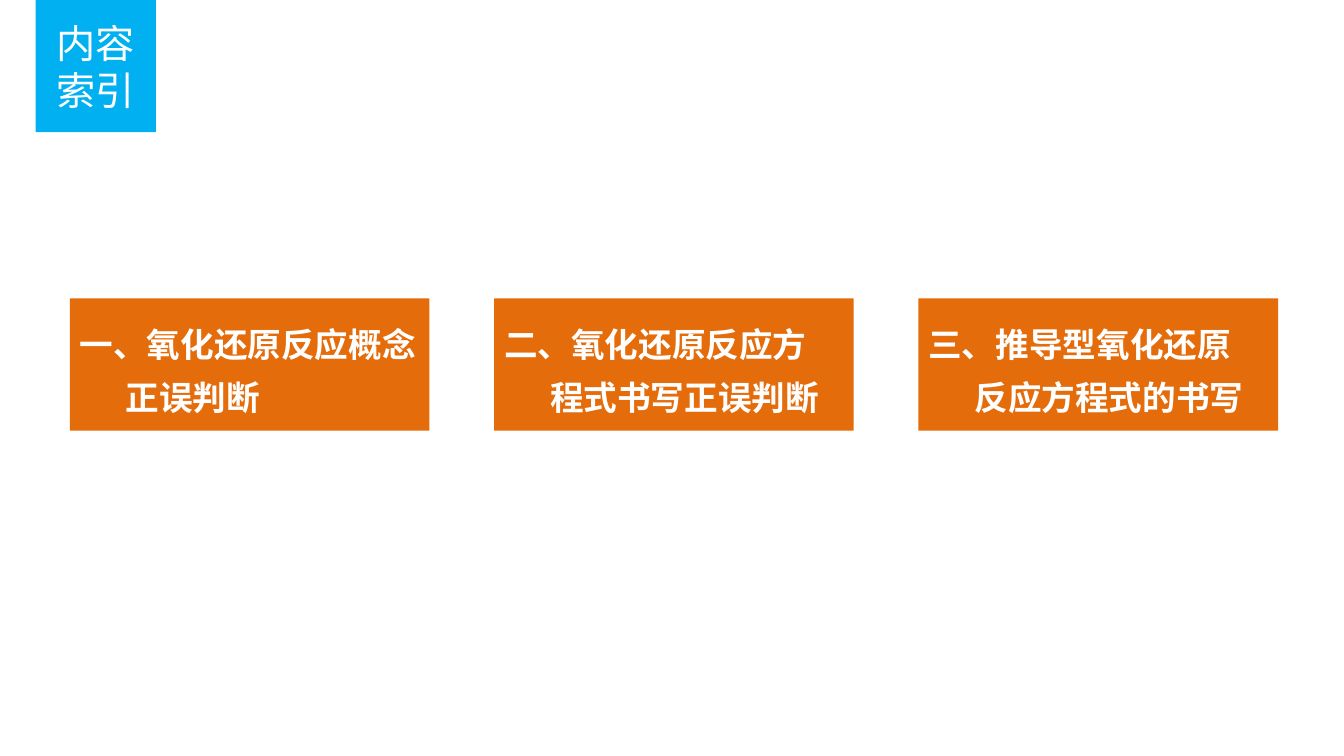
from lxml import etree
from pptx import Presentation
from pptx.dml.color import RGBColor
from pptx.enum.shapes import MSO_SHAPE
from pptx.enum.text import MSO_ANCHOR, MSO_AUTO_SIZE, PP_ALIGN
from pptx.oxml.ns import qn
from pptx.util import Cm, Pt

RECT = MSO_SHAPE.RECTANGLE
TOP, MIDDLE = MSO_ANCHOR.TOP, MSO_ANCHOR.MIDDLE
LEFT, CENTER = PP_ALIGN.LEFT, PP_ALIGN.CENTER
NO_AUTOFIT = MSO_AUTO_SIZE.NONE

FONT = "Noto Sans CJK SC"
COLORS = {"tab": "00B0F0", "topic": "E46C0A", "text": "FFFFFF"}
TOPICS = [
    ("一、氧化还原反应概念", "正误判断"),
    ("二、氧化还原反应方", "程式书写正误判断"),
    ("三、推导型氧化还原", "反应方程式的书写"),
]


def add_rect(s, x, y, w, h, color):
    sp = s.shapes.add_shape(RECT, Cm(x), Cm(y), Cm(w), Cm(h))
    sp.shadow.inherit = False
    sp.fill.solid()
    sp.fill.fore_color.rgb = RGBColor.from_string(COLORS[color])
    sp.line.fill.background()
    return sp


def write(p, text, size, bold=False, align=LEFT, spacing=1.0, indent=0):
    p.alignment = align
    p.line_spacing = spacing
    if indent:
        p._p.get_or_add_pPr().set("marL", str(Cm(indent)))
    r = p.add_run()
    r.text = text
    r.font.size = Pt(size)
    r.font.bold = bold
    r.font.name = FONT
    r.font.color.rgb = RGBColor.from_string(COLORS["text"])
    etree.SubElement(r.font._element, qn("a:ea")).set("typeface", FONT)


def add_title_tab(s, x, y, w, h):
    """Place the slide title on a coloured tab."""
    tab = add_rect(s, x, y, w, h, "tab")
    title = s.shapes.title
    title.element.addprevious(tab.element)
    title.left, title.top = Cm(x + 0.2), Cm(y + 0.36)
    title.width, title.height = Cm(w - 0.42), Cm(h - 0.69)
    tf = title.text_frame
    tf.word_wrap = True
    tf.auto_size = NO_AUTOFIT
    tf.vertical_anchor = TOP
    write(tf.paragraphs[0], "内容索引", 28, align=CENTER)


def add_topic(s, x, y, w, h, lines):
    tf = add_rect(s, x, y, w, h, "topic").text_frame
    tf.word_wrap = True
    tf.vertical_anchor = MIDDLE
    first, second = lines
    write(tf.paragraphs[0], first, 24, bold=True, spacing=1.3)
    write(tf.add_paragraph(), second, 24, bold=True, spacing=1.3, indent=1.16)


def add_topic_row(s, x, y, w, h, topics, gap):
    topic_w = (w - gap * (len(topics) - 1)) / len(topics)
    for i, lines in enumerate(topics):
        add_topic(s, x + i * (topic_w + gap), y, topic_w, h, lines)


def main():
    prs = Presentation()
    prs.slide_width, prs.slide_height = Cm(33.87), Cm(19.05)
    s = prs.slides.add_slide(prs.slide_layouts[5])
    add_title_tab(s, 0.9, 0, 3.03, 3.33)
    add_topic_row(s, 1.76, 7.52, 30.45, 3.33, TOPICS, gap=1.63)
    prs.save("out.pptx")


if __name__ == "__main__":
    main()
